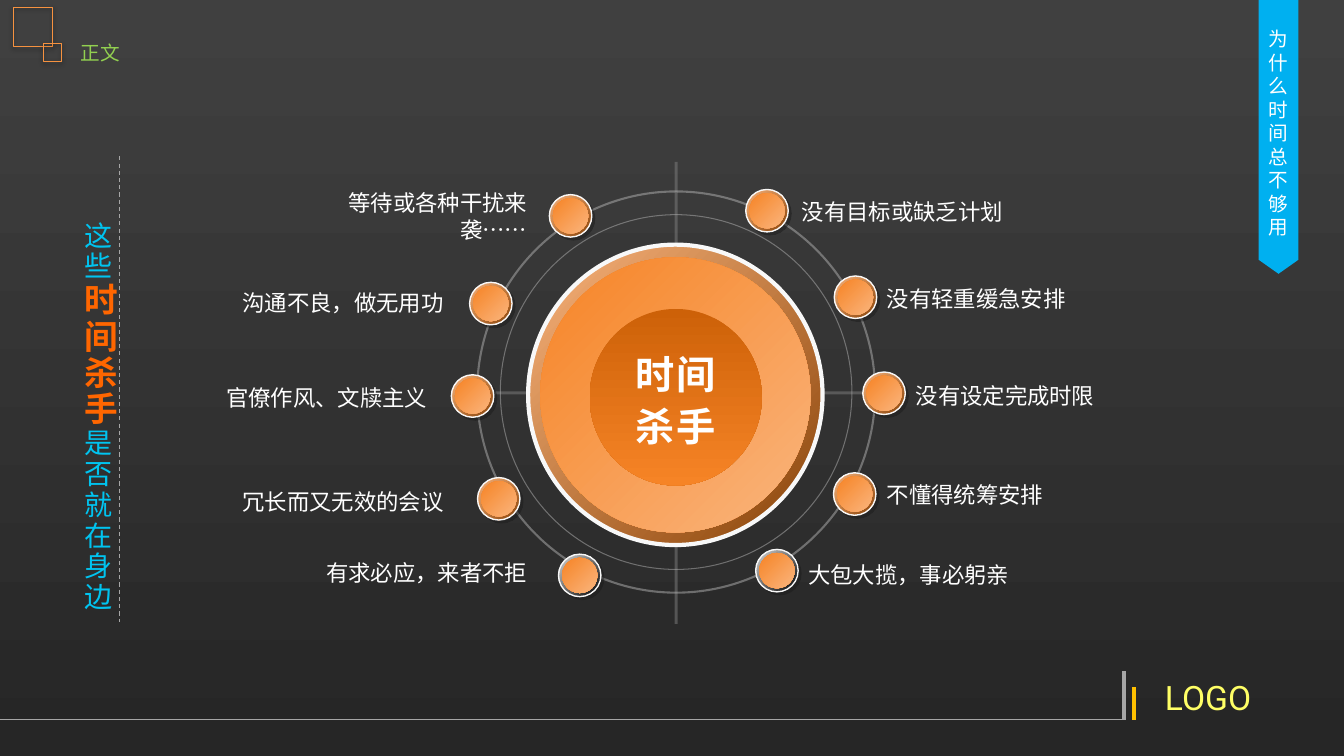
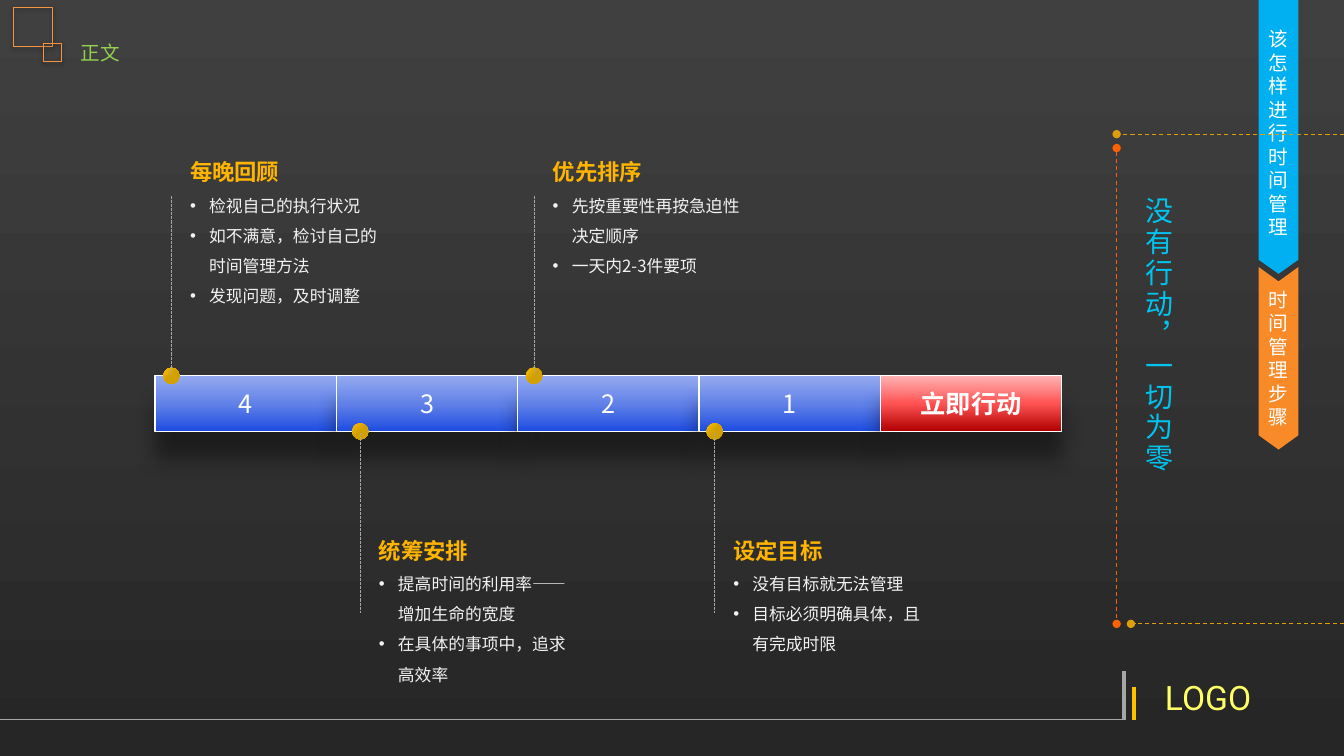
from copy import deepcopy

from lxml import etree
from pptx import Presentation
from pptx.dml.color import RGBColor
from pptx.enum.dml import MSO_LINE
from pptx.enum.shapes import MSO_CONNECTOR, MSO_SHAPE
from pptx.enum.text import MSO_ANCHOR, MSO_AUTO_SIZE, PP_ALIGN
from pptx.oxml.ns import qn
from pptx.util import Cm, Pt

STRAIGHT = MSO_CONNECTOR.STRAIGHT
RECTANGLE, OVAL = MSO_SHAPE.RECTANGLE, MSO_SHAPE.OVAL
PENTAGON, CHEVRON = MSO_SHAPE.PENTAGON, MSO_SHAPE.CHEVRON
LEFT, CENTER, RIGHT = PP_ALIGN.LEFT, PP_ALIGN.CENTER, PP_ALIGN.RIGHT
TOP, MIDDLE = MSO_ANCHOR.TOP, MSO_ANCHOR.MIDDLE
DASH, FINE_DASH = MSO_LINE.DASH, MSO_LINE.SQUARE_DOT
FIT_SHAPE = MSO_AUTO_SIZE.SHAPE_TO_FIT_TEXT

PAGE_WIDTH, PAGE_HEIGHT = 33.87, 19.05
CJK_FONT = "Noto Sans CJK SC"

WHITE = RGBColor(0xFF, 0xFF, 0xFF)
NEAR_WHITE = RGBColor(0xF8, 0xF8, 0xF8)
PALE = RGBColor(0xF2, 0xF2, 0xF2)
SILVER = RGBColor(0xDC, 0xDC, 0xDC)
RING_GREY = RGBColor(0xB2, 0xB2, 0xB2)
LINE_GREY = RGBColor(0xA6, 0xA6, 0xA6)
AXIS_GREY = RGBColor(0x80, 0x80, 0x80)
CHARCOAL = RGBColor(0x40, 0x40, 0x40)
DARK = RGBColor(0x26, 0x26, 0x26)
SHADE = RGBColor(0x1C, 0x1C, 0x1C)
BLACK = RGBColor(0x00, 0x00, 0x00)
LOGO_YELLOW = RGBColor(0xFF, 0xFF, 0x66)
AMBER = RGBColor(0xFF, 0xC0, 0x00)
HEADING_AMBER = RGBColor(0xFF, 0xB4, 0x00)
GOLD = RGBColor(0xDC, 0x9F, 0x0B)
DARK_GOLD = RGBColor(0xD2, 0xA0, 0x00)
GREEN = RGBColor(0x92, 0xD0, 0x50)
SKY = RGBColor(0x00, 0xB0, 0xF0)
CYAN = RGBColor(0x00, 0xC4, 0xF0)
VIVID_ORANGE = RGBColor(0xFF, 0x66, 0x00)
DASH_ORANGE = RGBColor(0xFC, 0x62, 0x04)
FRAME_ORANGE = RGBColor(0xF6, 0x92, 0x40)
RIBBON_ORANGE = RGBColor(0xF8, 0x8A, 0x28)
ORANGE = RGBColor(0xF6, 0x84, 0x26)
PEACH = RGBColor(0xFA, 0xB5, 0x7D)
RUST = RGBColor(0xCD, 0x61, 0x08)
BROWN = RGBColor(0x88, 0x41, 0x06)

# Gradients: angle, then (position, colour) stops
BACKDROP = (90, [(0, CHARCOAL), (1, DARK)])
RIM = (45, [(0, PEACH), (1, BROWN)])
GREY_RIM = (45, [(0, SILVER), (1, BLACK)])
FACE = (45, [(0, ORANGE), (1, PEACH)])
CORE = (90, [(0, RUST), (1, ORANGE)])
GOLD_DOT = (45, [(0, AMBER), (0.5, DARK_GOLD)])
BLUE_CELL = (90, [(0, RGBColor(0x94, 0xAA, 0xF0)), (0.5, RGBColor(0x62, 0x82, 0xE8)),
                  (1, RGBColor(0x1E, 0x4C, 0xE0))])
RED_CELL = (90, [(0, RGBColor(0xFF, 0xB3, 0xB3)), (0.5, RGBColor(0xFF, 0x53, 0x53)),
                 (1, RGBColor(0xB0, 0x00, 0x00))])

# Shadows: colour, opacity %, blur pt, distance pt, angle
SOFT_SHADOW = (BLACK, 38, 3.1, 1.6, 90)
NODE_SHADOW = (SHADE, 50, 0, 2.8, 45)
DEEP_SHADOW = (BLACK, 40, 15, 20, 90)

# Offsets from the dial centre: node x, y, label edge x, label top y, text
DIAL_NODES = [
    (2.29, -4.59, 2.92, -5.05, "没有目标或缺乏计划"),
    (4.52, -2.41, 5.06, -2.84, "没有轻重缓急安排"),
    (5.24, 0.01, 5.79, -0.4, "没有设定完成时限"),
    (4.5, 2.55, 5.06, 2.09, "不懂得统筹安排"),
    (2.54, 4.48, 3.08, 4.1, "大包大揽，事必躬亲"),
    (-2.66, -4.46, -3.5, -4.92, "等待或各种干扰来袭……"),
    (-4.67, -2.25, -5.61, -2.74, "沟通不良，做无用功"),
    (-5.13, 0.08, -6.02, -0.35, "官僚作风、文牍主义"),
    (-4.47, 2.67, -5.61, 2.27, "冗长而又无效的会议"),
    (-2.43, 4.6, -3.5, 4.07, "有求必应，来者不拒"),
]

# Cell label, dot offset in the cell, note heading, note points
STEPS = [
    ("4", 0.41, "每晚回顾", ["检视自己的执行状况", "如不满意，检讨自己的时间管理方法", "发现问题，及时调整"]),
    ("3", 0.6, "统筹安排", ["提高时间的利用率——增加生命的宽度", "在具体的事项中，追求高效率"]),
    ("2", 0.41, "优先排序", ["先按重要性再按急迫性决定顺序", "一天内2-3件要项"]),
    ("1", 0.39, "设定目标", ["没有目标就无法管理", "目标必须明确具体，且有完成时限"]),
]


def paint_gradient(owner, fill, angle, stops):
    fill.gradient()
    fill.gradient_angle = -angle % 360
    stop_list = next(owner.iter(qn("a:gsLst")))
    while len(stop_list) < len(stops):
        stop_list.append(deepcopy(stop_list[0]))
    for stop, (position, color) in zip(fill.gradient_stops, stops):
        stop.position, stop.color.rgb = position, color


def set_line(shape, color, width, dash=None, opacity=None):
    shape.line.color.rgb = color
    shape.line.width = Pt(width)
    if dash:
        shape.line.dash_style = dash
    if opacity:
        color_element = next(shape.element.spPr.find(qn("a:ln")).iter(qn("a:srgbClr")))
        etree.SubElement(color_element, qn("a:alpha"), val=str(opacity * 1000))


def cast_shadow(shape, color, opacity, blur, distance, angle):
    effects = shape.element.spPr.find(qn("a:effectLst"))
    shadow = etree.SubElement(effects, qn("a:outerShdw"), blurRad=str(Pt(blur)),
                              dist=str(Pt(distance)), dir=str(angle * 60000), rotWithShape="0")
    color_element = etree.SubElement(shadow, qn("a:srgbClr"), val=str(color))
    etree.SubElement(color_element, qn("a:alpha"), val=str(opacity * 1000))


def add_shape(page, preset, left, top, width, height, fill=None, line=None, shadow=None):
    shape = page.shapes.add_shape(preset, Cm(left), Cm(top), Cm(width), Cm(height))
    shape.shadow.inherit = False
    if fill is None:
        shape.fill.background()
    elif isinstance(fill, RGBColor):
        shape.fill.solid()
        shape.fill.fore_color.rgb = fill
    else:
        paint_gradient(shape.element, shape.fill, *fill)
    if line:
        set_line(shape, *line)
    else:
        shape.line.fill.background()
    if shadow:
        cast_shadow(shape, *shadow)
    return shape


def add_disc(page, x, y, width, height, **style):
    return add_shape(page, OVAL, x - width / 2, y - height / 2, width, height, **style)


def add_line(page, x1, y1, x2, y2, *style, ends=()):
    line = page.shapes.add_connector(STRAIGHT, Cm(x1), Cm(y1), Cm(x2), Cm(y2))
    set_line(line, *style)
    for end in ends:
        etree.SubElement(line.element.spPr.find(qn("a:ln")), qn(f"a:{end}"), type="oval")
    etree.SubElement(line.element.spPr, qn("a:effectLst"))


def write(para, text, size, color, bold=False, font=CJK_FONT, spacing=0):
    span = para.add_run()
    span.text = text
    for name, value in {"name": font, "size": Pt(size), "bold": bold}.items():
        setattr(span.font, name, value)
    span.font.color.rgb = color
    properties = span._r.get_or_add_rPr()
    etree.SubElement(properties, qn("a:ea"), typeface=CJK_FONT)
    if spacing:
        properties.set("spc", str(spacing * 100))


def add_text(page, left, top, width, height, align=LEFT, anchor=TOP, direction=None):
    box = page.shapes.add_textbox(Cm(left), Cm(top), Cm(width), Cm(height))
    settings = {"word_wrap": True, "auto_size": FIT_SHAPE, "vertical_anchor": anchor}
    for name, value in settings.items():
        setattr(box.text_frame, name, value)
    if direction:
        box.element.txBody.bodyPr.set("vert", direction)
    box.text_frame.paragraphs[0].alignment = align
    return box.text_frame


def add_label(page, area, text, size, color, align=LEFT, anchor=TOP, **style):
    frame = add_text(page, *area, align, anchor)
    write(frame.paragraphs[0], text, size, color, **style)
    return frame


def build_layout(page, layout):
    """Draw the shared frame and move it to the layout."""
    for placeholder in list(layout.placeholders):
        placeholder.element.getparent().remove(placeholder.element)
    paint_gradient(layout.element, layout.background.fill, *BACKDROP)
    add_label(page, (28.73, 16.92, 3.43, 1.27), "LOGO", 24, LOGO_YELLOW, CENTER, font="Roboto")
    floor, corner = 18.14, 28.32
    add_line(page, 0, floor, corner, floor, LINE_GREY, 0.75)
    add_line(page, corner, floor, corner, 16.92, LINE_GREY, 3)
    add_line(page, 28.58, floor, 28.58, 17.32, AMBER, 3)
    for offset_x, offset_y, side in ((0.33, 0.18, 1), (1.09, 1.09, 0.46)):
        add_shape(page, RECTANGLE, offset_x, offset_y, side, side,
                  line=(FRAME_ORANGE, 0.75), shadow=SOFT_SHADOW)
    for shape in list(page.shapes):
        layout.element.cSld.spTree.append(shape.element)


def draw_header(page):
    add_label(page, (2.03, 0.91, 6.5, 0.86), "正文", 14, GREEN).margin_left = 0


def draw_ribbon(page, preset, top, length, point, color, text):
    """Hanging ribbon, turned a quarter so that its point looks down."""
    center_x, width = 32.22, 1
    ribbon = add_shape(page, preset, center_x - length / 2, top + (length - width) / 2,
                       length, width, color)
    ribbon.rotation = 90
    ribbon.adjustments[0] = point
    ribbon.element.txBody.bodyPr.set("vert", "vert270")
    ribbon.text_frame.vertical_anchor = MIDDLE
    para = ribbon.text_frame.paragraphs[0]
    para.alignment = CENTER
    write(para, text, 14, WHITE)


def draw_topic_ribbon(page, text):
    draw_ribbon(page, PENTAGON, -0.03, 6.93, 0.353, SKY, text)


def draw_side_question(page, left, top):
    frame = add_text(page, left, top, 1.55, 10.34, direction="eaVert")
    for text, size, color, bold in (("这些", 20, CYAN, False), ("时间杀手", 24, VIVID_ORANGE, True),
                                    ("是否就在身边", 20, CYAN, False)):
        write(frame.paragraphs[0], text, size, color, bold, spacing=2)
    add_line(page, left + 1.42, top - 1.39, left + 1.42, top + 10.34, LINE_GREY, 0.75, DASH)


def draw_dial(page, x, y):
    # Cross hairs and orbits
    add_line(page, x - 5.54, y, x + 5.54, y, AXIS_GREY, 2.25, None, 50)
    add_line(page, x, y - 5.82, x, y + 5.82, AXIS_GREY, 2.25, None, 50)
    for width, height, weight in ((8.86, 8.94, 0.75), (10.03, 10.11, 1.5)):
        add_disc(page, x, y - 0.02, width, height, line=(RING_GREY, weight, None, 50))

    # Central button
    add_disc(page, x - 0.02, y + 0.05, 7.42, 7.57, fill=RIM, line=(NEAR_WHITE, 3))
    add_disc(page, x - 0.02, y + 0.05, 6.81, 6.93, fill=FACE)
    frame = add_disc(page, x - 0.01, y + 0.11, 4.34, 4.45, fill=CORE).text_frame
    frame.word_wrap = False
    frame.vertical_anchor = MIDDLE
    for para, text in ((frame.paragraphs[0], "时间"), (frame.add_paragraph(), "杀手")):
        para.alignment, para.line_spacing = CENTER, 1.1
        write(para, text, 28, WHITE, True, "Calibri", 1)

    # Nodes with their labels
    label_width, label_height = 6.5, 0.94
    for node_x, node_y, edge, label_top, text in DIAL_NODES:
        rim = GREY_RIM if node_y > 4 else RIM
        add_disc(page, x + node_x, y + node_y, 1.07, 1.07, fill=rim,
                 line=(NEAR_WHITE, 1), shadow=NODE_SHADOW)
        add_disc(page, x + node_x, y + node_y, 0.89, 0.89, fill=FACE)
        on_right = node_x > 0
        left = x + edge - (0 if on_right else label_width)
        add_label(page, (left, y + label_top, label_width, label_height), text, 16, WHITE,
                  LEFT if on_right else RIGHT, MIDDLE, font="Calibri")


def draw_note(page, left, top, heading, points):
    frame = add_text(page, left, top, 5.26, 1.2 + 0.79 * len(points))
    frame.paragraphs[0].line_spacing = 1.5
    write(frame.paragraphs[0], heading, 16, HEADING_AMBER, True)
    for point in points:
        para = frame.add_paragraph()
        properties = para._p.get_or_add_pPr()
        properties.set("marL", str(Cm(0.48)))
        properties.set("indent", str(-Cm(0.48)))
        etree.SubElement(properties, qn("a:buFont"), typeface="Arial")
        etree.SubElement(properties, qn("a:buChar"), char="•")
        para.line_spacing = 1.5
        write(para, point, 12, PALE)


def draw_timeline(page, left, top, cell_width, height):
    # Bar
    labels = [step[0] for step in STEPS] + ["立即行动"]
    for index, label in enumerate(labels):
        is_goal = index == len(STEPS)
        cell = add_shape(page, RECTANGLE, left + index * cell_width, top, cell_width, height,
                         RED_CELL if is_goal else BLUE_CELL, (WHITE, 1), DEEP_SHADOW)
        cell.text_frame.vertical_anchor = MIDDLE
        para = cell.text_frame.paragraphs[0]
        para.alignment = CENTER
        write(para, label, 18, WHITE, is_goal)

    # Notes, in turn above and below the bar
    for index, (_, offset, heading, points) in enumerate(STEPS):
        x = left + index * cell_width + offset
        above = index % 2 == 0
        edge = top if above else top + height
        start, end, note_top = (-4.54, -0.02, -5.94) if above else (0.05, 4.57, 2.19)
        add_disc(page, x, edge, 0.41, 0.41, fill=GOLD_DOT)
        add_line(page, x, edge + start, x, edge + end, LINE_GREY, 0.75, FINE_DASH)
        draw_note(page, x + 0.22, edge + note_top, heading, points)


def draw_motto(page, left, top, bottom):
    add_line(page, PAGE_WIDTH, top, left, top, GOLD, 0.75, DASH, ends=["tailEnd"])
    add_line(page, left, top + 0.35, left, bottom, DASH_ORANGE, 0.75, DASH,
             ends=["headEnd", "tailEnd"])
    add_line(page, PAGE_WIDTH, bottom, left + 0.36, bottom, GOLD, 0.75, DASH, ends=["tailEnd"])
    frame = add_text(page, left + 0.23, top + 1.34, 1.37, 8.41, CENTER, direction="eaVert")
    write(frame.paragraphs[0], "没有行动，一切为零", 20, CYAN, spacing=2)


def main():
    deck = Presentation()
    deck.slide_width, deck.slide_height = Cm(PAGE_WIDTH), Cm(PAGE_HEIGHT)
    layout = deck.slide_layouts[6]

    # Time killers
    page = deck.slides.add_slide(layout)
    build_layout(page, layout)
    draw_header(page)
    draw_topic_ribbon(page, "为什么时间总不够用")
    draw_side_question(page, 1.6, 5.33)
    draw_dial(page, 17.04, 9.9)

    # Steps of time management
    page = deck.slides.add_slide(layout)
    draw_header(page)
    draw_ribbon(page, CHEVRON, 6.73, 4.6, 0.361, RIBBON_ORANGE, "时间管理步骤")
    draw_topic_ribbon(page, "该怎样进行时间管理")
    draw_timeline(page, 3.91, 9.47, 4.57, 1.4)
    draw_motto(page, 28.14, 3.38, 15.72)

    deck.save("out.pptx")


if __name__ == "__main__":
    main()
